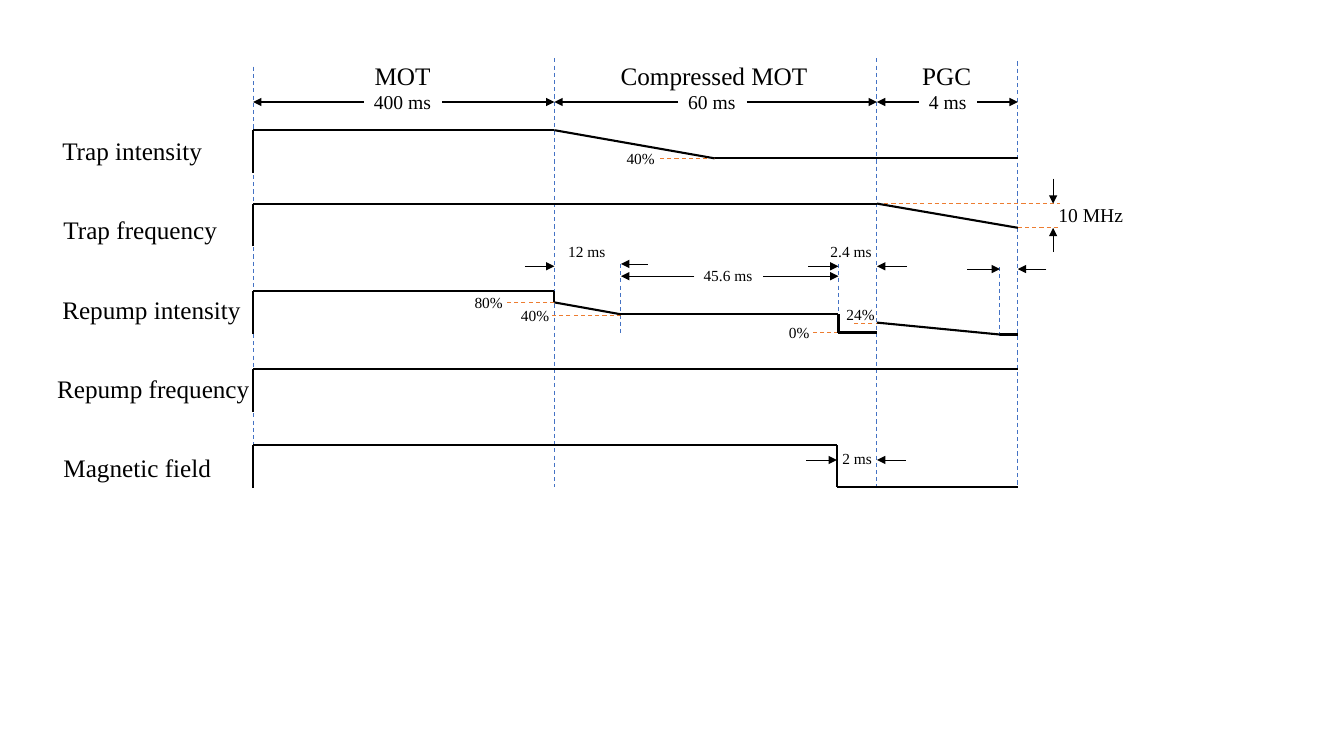
from dataclasses import dataclass, replace
from itertools import pairwise

from lxml import etree
from pptx import Presentation
from pptx import util as u
from pptx.dml import color
from pptx.enum import dml, shapes, text
from pptx.oxml import ns

COLORS = {"ink": "000000", "guide": "4472C4", "level": "ED7D31"}
FONT = "Times New Roman"

# Line styles: colour, width in points, dashed, arrowhead
STYLES = {
    "trace": ("ink", 1.5, False, False),
    "guide": ("guide", 0.75, True, False),
    "level": ("level", 0.75, True, False),
    "span": ("ink", 1, False, True),
    "arrow": ("ink", 0.5, False, True),
}

# Moments along the time axis, in cm from the start
START, COMPRESS, STEP, RAMP_END = 0, 7.59, 9.27, 11.63
FIELD_OFF, REPUMP_OFF, COOL, LATE, END = 14.71, 14.75, 15.72, 18.82, 19.27


@dataclass
class Box:
    left: float
    top: float


@dataclass
class Label:
    words: str
    left: float
    top: float
    width: float
    size: int = 11


# Stages: start, end, name, duration
STAGES = [
    (START, COMPRESS, Label("MOT", 2.81, 0, 1.93, 18), Label("400 ms", 2.79, 0.73, 1.98, 14)),
    (COMPRESS, COOL, Label("Compressed MOT", 9.01, 0, 5.26, 18), Label("60 ms", 10.71, 0.73, 1.73, 14)),
    (COOL, END, Label("PGC", 16.61, 0, 1.75, 18), Label("4 ms", 16.78, 0.73, 1.47, 14)),
]
STAGE_GUIDES = [(START, 0.28, 10.61), (COMPRESS, 0.07, 10.87),
                (COOL, 0.07, 10.87), (END, 0.15, 10.87)]

# Rows: top, name, traces as points, marks as (style, x1, y1, x2, y2), notes
EDGE = [(START, 1.08), (START, 0)]
ROWS = [
    dict(top=3.28, name=("Trap intensity", -5.06, 4.22),
         traces=[EDGE + [(COMPRESS, 0), (RAMP_END, 0.71), (END, 0.71)]],
         marks=[("level", RAMP_END, 0.71, 10.21, 0.71)],
         notes=[Label("40%", 9.16, 0.35, 1.22)]),
    dict(top=5.13, name=("Trap frequency", -5.03, 4.42),
         traces=[EDGE + [(COOL, 0), (END, 0.61)]],
         marks=[("level", COOL, 0, 20.34, 0), ("level", END, 0.61, 20.29, 0.61),
                ("arrow", 20.16, -0.63, 20.16, 0), ("arrow", 20.16, 1.22, 20.16, 0.61)],
         notes=[Label("10 MHz", 20.04, -0.13, 2.16, 14)]),
    dict(top=7.34, name=("Repump intensity", -5.06, 5.05),
         traces=[EDGE + [(COMPRESS, 0), (COMPRESS, 0.28), (STEP, 0.58), (REPUMP_OFF, 0.58),
                         (REPUMP_OFF, 1.04), (COOL, 1.04)],
                 [(COOL, 0.79), (LATE, 1.09), (END, 1.09)]],
         marks=[("guide", STEP, -0.69, STEP, 1.04),
                ("guide", REPUMP_OFF, -0.69, REPUMP_OFF, 1.04),
                ("guide", LATE, -0.61, LATE, 1.12),
                ("level", COMPRESS, 0.28, 6.37, 0.28), ("level", STEP, 0.61, 7.46, 0.61),
                ("level", REPUMP_OFF, 1.04, 14.09, 1.04), ("level", 15.79, 0.81, 15.13, 0.81),
                ("arrow", 11.12, -0.38, STEP, -0.38), ("arrow", 12.85, -0.38, REPUMP_OFF, -0.38),
                ("arrow", 9.95, -0.69, STEP, -0.69), ("arrow", 6.85, -0.63, COMPRESS, -0.63),
                ("arrow", 16.48, -0.63, COOL, -0.63), ("arrow", 13.99, -0.63, REPUMP_OFF, -0.63),
                ("arrow", 19.99, -0.56, END, -0.56), ("arrow", 18, -0.56, LATE, -0.56)],
         notes=[Label("80%", 5.33, -0.08, 1.22), Label("40%", 6.5, 0.25, 1.22),
                Label("0%", 13.25, 0.69, 1.04), Label("24%", 14.7, 0.23, 1.22),
                Label("12 ms", 7.69, -1.37, 1.45), Label("2.4 ms", 14.3, -1.37, 1.55),
                Label("45.6 ms", 11.1, -0.76, 1.75)]),
    dict(top=9.3, name=("Repump frequency", -5.19, 5.41),
         traces=[EDGE + [(END, 0)]], marks=[], notes=[]),
    dict(top=11.22, name=("Magnetic field", -5.03, 4.27),
         traces=[EDGE + [(FIELD_OFF, 0), (FIELD_OFF, 1.06), (END, 1.06)]],
         marks=[("arrow", 16.45, 0.37, COOL, 0.37), ("arrow", 13.94, 0.37, FIELD_OFF, 0.37)],
         notes=[Label("2 ms", 14.6, -0.03, 1.27)]),
]
NAME_TOP, NAME_PITCH = 3.28, 2


def add_line(page, box, style, x1, y1, x2, y2):
    ink, width, dashed, arrowhead = STYLES[style]
    line = page.shapes.add_connector(
        shapes.MSO_CONNECTOR.STRAIGHT,
        u.Cm(box.left + x1), u.Cm(box.top + y1), u.Cm(box.left + x2), u.Cm(box.top + y2))
    line.line.color.rgb = color.RGBColor.from_string(COLORS[ink])
    line.line.width = u.Pt(width)
    if dashed:
        line.line.dash_style = dml.MSO_LINE.DASH
    if arrowhead:
        etree.SubElement(line.line._get_or_add_ln(), ns.qn("a:tailEnd"), type="triangle")
    etree.SubElement(line._element.spPr, ns.qn("a:effectLst"))


def add_label(page, box, label):
    height = {18: 1.02, 14: 0.86, 11: 0.73}[label.size]
    shape = page.shapes.add_textbox(u.Cm(box.left + label.left), u.Cm(box.top + label.top),
                                    u.Cm(label.width), u.Cm(height))
    frame = shape.text_frame
    frame.word_wrap = False
    frame.auto_size = text.MSO_AUTO_SIZE.SHAPE_TO_FIT_TEXT
    span = frame.paragraphs[0].add_run()
    span.text = label.words
    for name, value in {"name": FONT, "size": u.Pt(label.size)}.items():
        setattr(span.font, name, value)
    span.font.color.rgb = color.RGBColor.from_string(COLORS["ink"])


def draw_stages(page, box):
    # Boundaries between stages
    for x, top, bottom in STAGE_GUIDES:
        add_line(page, box, "guide", x, top, x, bottom)
    # Names, durations and the arrows beside them
    arrow_y = 1.17
    for begin, finish, name, duration in STAGES:
        add_label(page, box, name)
        add_label(page, box, duration)
        add_line(page, box, "span", duration.left, arrow_y, begin, arrow_y)
        add_line(page, box, "span", duration.left + duration.width, arrow_y, finish, arrow_y)


def draw_row(page, box, row, name_top):
    # Marks behind the trace
    for style, *ends in row["marks"]:
        add_line(page, box, style, *ends)
    # Signal trace
    for trace in row["traces"]:
        for begin, finish in pairwise(trace):
            add_line(page, box, "trace", *begin, *finish)
    # Row name and notes
    words, left, width = row["name"]
    add_label(page, replace(box, top=name_top), Label(words, left, 0, width, 18))
    for note in row["notes"]:
        add_label(page, box, note)


def main():
    deck = Presentation()
    deck.slide_width, deck.slide_height = u.Cm(33.87), u.Cm(19.05)
    page = deck.slides.add_slide(deck.slide_layouts[6])
    axis = Box(6.38, 1.4)
    draw_stages(page, axis)
    for index, row in enumerate(ROWS):
        draw_row(page, replace(axis, top=row["top"]), row, NAME_TOP + index * NAME_PITCH)
    deck.save("out.pptx")


if __name__ == "__main__":
    main()
